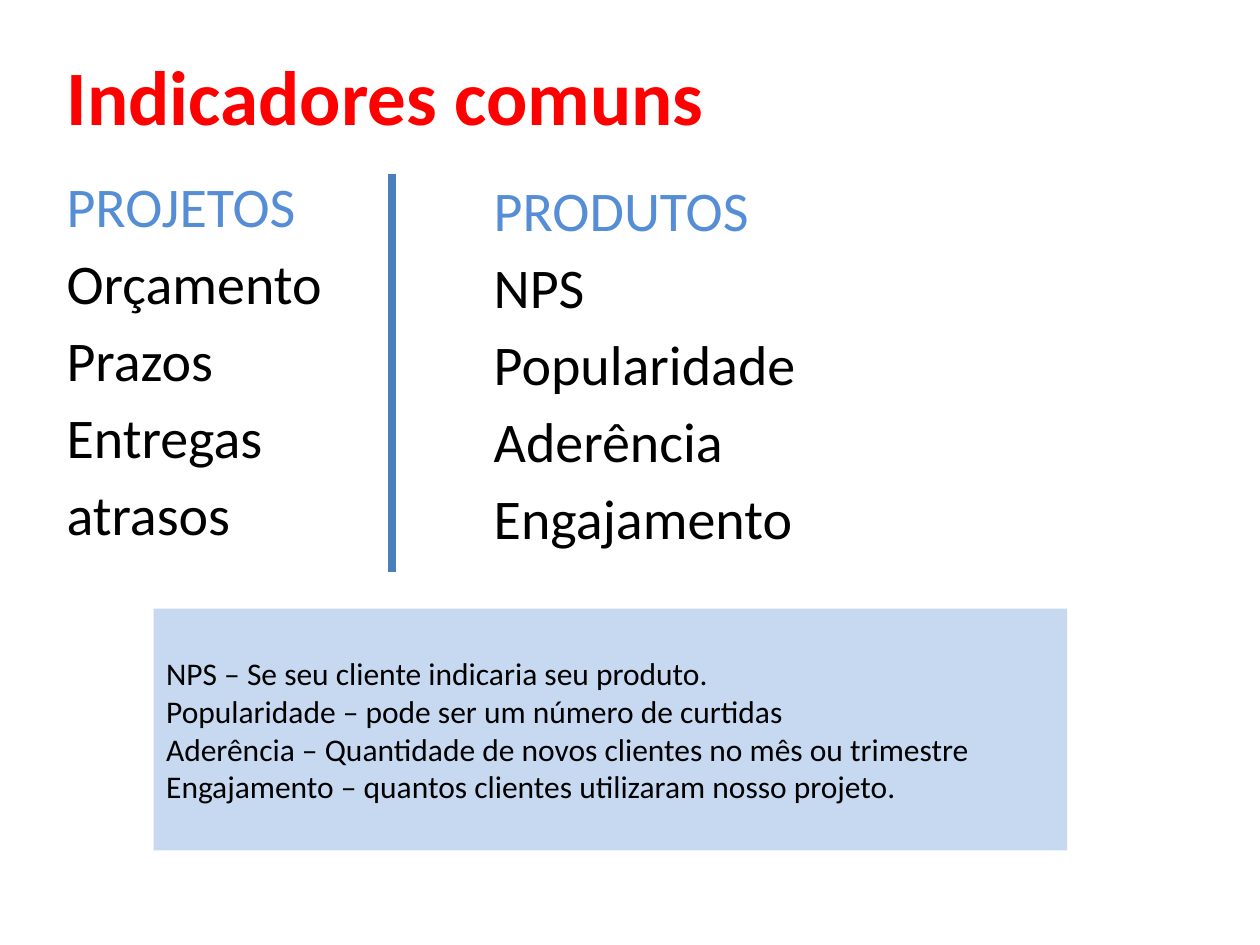
from dataclasses import dataclass

from lxml.etree import SubElement
from pptx import Presentation
from pptx.dml.color import RGBColor
from pptx.enum.shapes import MSO_CONNECTOR, MSO_SHAPE
from pptx.enum.text import MSO_ANCHOR, PP_ALIGN
from pptx.oxml.ns import qn
from pptx.slide import Slide
from pptx.text.text import TextFrame
from pptx.util import Inches, Pt

COLORS = {
    "title": "FF0000",
    "heading": "558ED5",
    "text": "000000",
    "divider": "4B7EBC",
    "panel": "C6D9F1",
}


@dataclass
class Box:
    left: float
    top: float
    width: float
    height: float

    def emu(self) -> tuple:
        return tuple(map(Inches, (self.left, self.top, self.width, self.height)))


@dataclass
class IndicatorColumn:
    box: Box
    heading: str
    indicators: list[str]


COLUMNS = [
    IndicatorColumn(Box(0.43, 1.31, 2.37, 5.23), "PROJETOS",
                    ["Orçamento", "Prazos", "Entregas", "atrasos"]),
    IndicatorColumn(Box(3.82, 1.34, 3.23, 5.23), "PRODUTOS",
                    ["NPS", "Popularidade", "Aderência", "Engajamento"]),
]
DEFINITIONS = [
    "NPS – Se seu cliente indicaria seu produto.",
    "Popularidade – pode ser um número de curtidas",
    "Aderência – Quantidade de novos clientes no mês ou trimestre",
    "Engajamento – quantos clientes utilizaram nosso projeto.",
]


def rgb(role: str) -> RGBColor:
    return RGBColor.from_string(COLORS[role])


def write_lines(frame: TextFrame, lines: list[str], roles: list[str],
                size: float, space: float = 0, bold: bool = False) -> None:
    frame.word_wrap = True
    font_format = {"name": "Calibri", "size": Pt(size), "bold": bold}
    for index, (line, role) in enumerate(zip(lines, roles)):
        paragraph = frame.paragraphs[0] if index == 0 else frame.add_paragraph()
        paragraph.alignment = PP_ALIGN.LEFT
        paragraph.space_before = Pt(space)
        run = paragraph.add_run()
        run.text = line
        for attribute, value in font_format.items():
            setattr(run.font, attribute, value)
        run.font.color.rgb = rgb(role)


def draw_title(slide: Slide, text: str, box: Box) -> None:
    title = slide.shapes.title
    title.left, title.top, title.width, title.height = box.emu()
    title.text_frame.vertical_anchor = MSO_ANCHOR.MIDDLE
    write_lines(title.text_frame, [text], ["title"], 44, bold=True)


def draw_column(slide: Slide, column: IndicatorColumn) -> None:
    frame = slide.shapes.add_textbox(*column.box.emu()).text_frame
    roles = ["heading"] + ["text"] * len(column.indicators)
    write_lines(frame, [column.heading, *column.indicators], roles, 32, space=5.7)


def draw_divider(slide: Slide, x: float, top: float, bottom: float) -> None:
    divider = slide.shapes.add_connector(
        MSO_CONNECTOR.STRAIGHT, Inches(x), Inches(top), Inches(x), Inches(bottom))
    divider.line.color.rgb = rgb("divider")
    divider.line.width = Pt(4.5)
    SubElement(divider._element.spPr, qn("a:effectLst"))


def draw_definitions(slide: Slide, box: Box) -> None:
    panel = slide.shapes.add_shape(MSO_SHAPE.RECTANGLE, *box.emu())
    panel.shadow.inherit = False
    panel.fill.solid()
    panel.fill.fore_color.rgb = rgb("panel")
    panel.line.fill.background()
    panel.text_frame.vertical_anchor = MSO_ANCHOR.MIDDLE
    write_lines(panel.text_frame, DEFINITIONS, ["text"] * len(DEFINITIONS), 18)


def main() -> None:
    presentation = Presentation()
    presentation.slide_width = Inches(10)
    presentation.slide_height = Inches(7.5)
    slide = presentation.slides.add_slide(presentation.slide_layouts[5])
    draw_title(slide, "Indicadores comuns", Box(0.43, 0.13, 7.65, 1.25))
    for column in COLUMNS:
        draw_column(slide, column)
    draw_divider(slide, 3.11, 1.38, 4.54)
    draw_definitions(slide, Box(1.22, 4.83, 7.25, 1.92))
    presentation.save("out.pptx")


if __name__ == "__main__":
    main()
